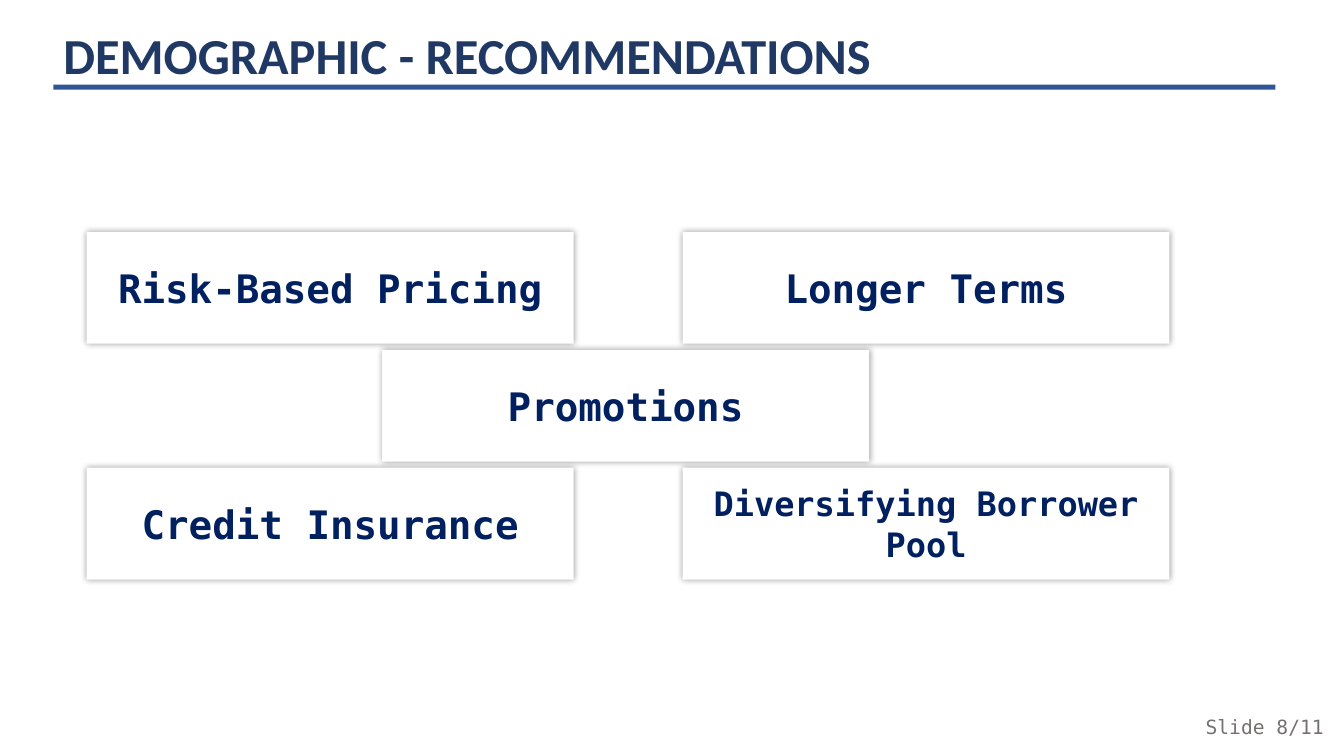
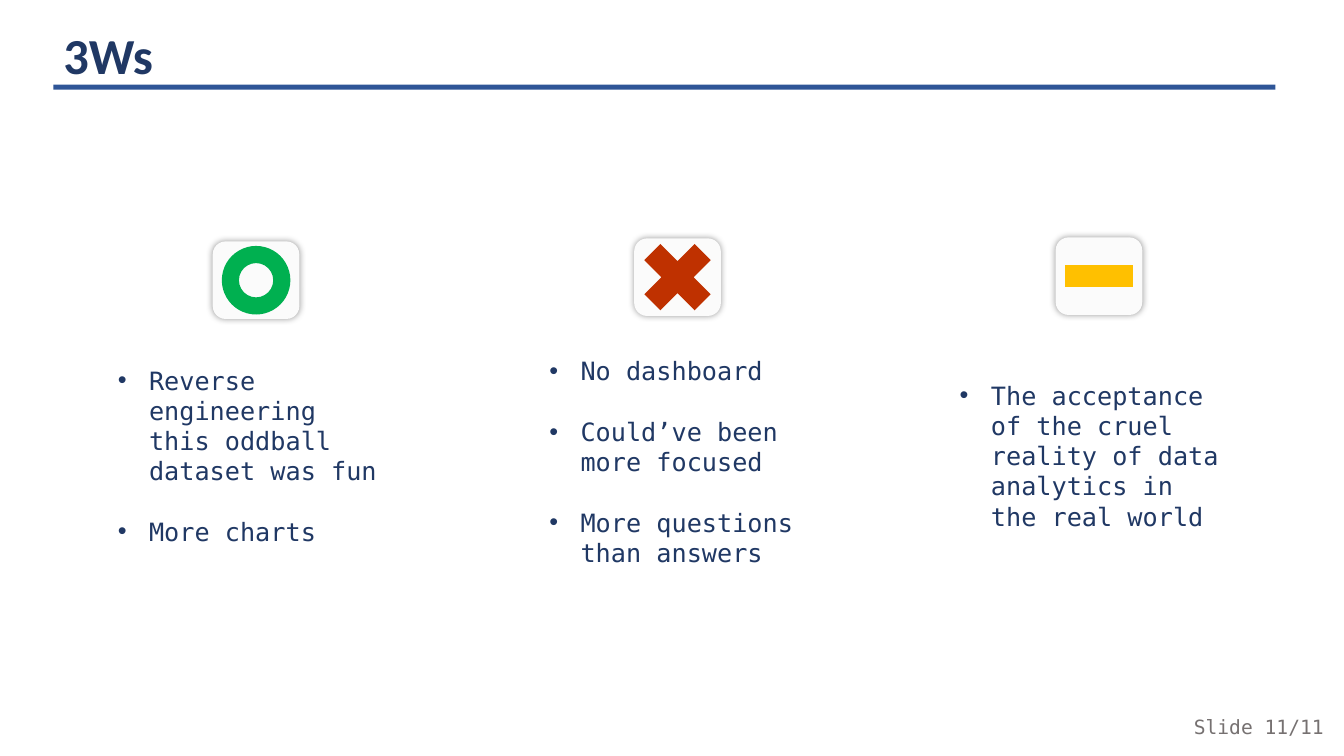
"""Build the recommendations slide and the 3Ws slide."""
from dataclasses import dataclass

from lxml import etree
from pptx import Presentation
from pptx import util as u
from pptx.dml.color import RGBColor
from pptx.enum import shapes, text
from pptx.oxml import ns


@dataclass(frozen=True)
class Theme:
    width: float = 13.33
    height: float = 7.5
    heading_font: str = "Calibri"
    body_font: str = "DejaVu Sans Mono"
    heading: str = "203864"
    rule: str = "2F5597"
    card: str = "FFFFFF"
    card_text: str = "002060"
    tile: str = "FBFBFB"
    footer: str = "767171"
    good: str = "00B050"
    bad: str = "BF3100"
    neutral: str = "FFC000"
    shadow: str = "000000"
    heading_size: float = 36
    card_size: float = 28
    long_card_size: float = 24
    list_size: float = 18
    list_gap: float = 21.6
    footer_size: float = 14
    shadow_blur: float = 5
    shadow_alpha: int = 40


THEME = Theme()
MARGIN = 0.53
SLIDE_TOTAL = 11

CARD_WIDTH, CARD_HEIGHT = 4.83, 1.11
CARD_COLUMNS = (0.86, 3.79, 6.77)
CARD_TOP, CARD_PITCH = 2.3, 1.17
CARDS = (
    ("Risk-Based Pricing", 0, 0, THEME.card_size),
    ("Longer Terms", 2, 0, THEME.card_size),
    ("Promotions", 1, 1, THEME.card_size),
    ("Credit Insurance", 0, 2, THEME.card_size),
    ("Diversifying Borrower Pool", 2, 2, THEME.long_card_size),
)

COLUMN_LEFT, COLUMN_PITCH = 2.54, 4.18
TILE_WIDTH, TILE_HEIGHT = 0.86, 0.77
LIST_WIDTH, LIST_HEIGHT, LIST_INDENT = 2.84, 2.22, 0.31
KINDS = shapes.MSO_SHAPE
VERDICTS = (
    (KINDS.DONUT, THEME.good, 0.68, 2.78, 1.07, 3.57,
     ("Reverse engineering this oddball dataset was fun", "More charts")),
    (KINDS.MATH_MULTIPLY, THEME.bad, 0.96, 2.75, 5.35, 3.48,
     ("No dashboard", "Could’ve been more focused",
      "More questions than answers")),
    (KINDS.MATH_MINUS, THEME.neutral, 0.91, 2.74, 9.42, 3.72,
     ("The acceptance of the cruel reality of data analytics in "
      "the real world",)),
)


def apply(target, values):
    """Set each attribute named in a dict of format values."""
    for name, value in values.items():
        setattr(target, name, value)


def inches(*lengths):
    """Turn lengths in inches into slide units."""
    return [u.Inches(length) for length in lengths]


def centred(x, y, width, height):
    """Return the box of a given size around a centre point."""
    return x - width / 2, y - height / 2, width, height


def write(paragraph, words, size, color, font=THEME.body_font, bold=False):
    """Add one formatted run to a paragraph."""
    run = paragraph.add_run()
    run.text = words
    apply(run.font, {"name": font, "size": u.Pt(size), "bold": bold})
    run.font.color.rgb = RGBColor.from_string(color)


def add_text_box(slide, box, wrap=True):
    """Add an empty text box and return its text frame."""
    frame = slide.shapes.add_textbox(*inches(*box)).text_frame
    frame.word_wrap = wrap
    return frame


def add_block(slide, kind, box, color, shadow=False):
    """Add a filled shape without outline, with an optional soft shadow."""
    block = slide.shapes.add_shape(kind, *inches(*box))
    block.fill.solid()
    block.fill.fore_color.rgb = RGBColor.from_string(color)
    block.line.fill.background()
    block.shadow.inherit = False
    if shadow:
        effects = block.element.spPr.find(ns.qn("a:effectLst"))
        outer = etree.SubElement(
            effects, ns.qn("a:outerShdw"), blurRad=str(u.Pt(THEME.shadow_blur)),
            dist="0", dir="0", algn="ctr", rotWithShape="0")
        tint = etree.SubElement(outer, ns.qn("a:srgbClr"), val=THEME.shadow)
        etree.SubElement(tint, ns.qn("a:alpha"),
                         val=str(THEME.shadow_alpha * 1000))
    return block


def add_slide(deck, heading, number):
    """Add a blank slide with the shared heading, rule and page count."""
    slide = deck.slides.add_slide(deck.slide_layouts[6])
    span = THEME.width - 2 * MARGIN - 0.15
    title = add_text_box(slide, (MARGIN, 0.19, span, 0.71))
    write(title.paragraphs[0], heading, THEME.heading_size, THEME.heading,
          THEME.heading_font, True)
    add_block(slide, KINDS.RECTANGLE, (MARGIN, 0.84, span, 0.05), THEME.rule)
    count = add_text_box(slide, (THEME.width - 1.8, 7.04, 1.7, 0.34))
    count.paragraphs[0].alignment = text.PP_ALIGN.RIGHT
    write(count.paragraphs[0], f"Slide {number}/{SLIDE_TOTAL}",
          THEME.footer_size, THEME.footer)
    return slide


def add_card(slide, label, column, row, size):
    """Add a recommendation card at a grid position."""
    box = (CARD_COLUMNS[column], CARD_TOP + row * CARD_PITCH,
           CARD_WIDTH, CARD_HEIGHT)
    frame = add_block(slide, KINDS.RECTANGLE, box, THEME.card, True).text_frame
    apply(frame, {"word_wrap": True,
                  "vertical_anchor": text.MSO_ANCHOR.MIDDLE})
    frame.paragraphs[0].alignment = text.PP_ALIGN.CENTER
    write(frame.paragraphs[0], label, size, THEME.card_text, bold=True)


def add_bullets(slide, left, top, items):
    """Add a bulleted list with one line of space between items."""
    frame = add_text_box(slide, (left, top, LIST_WIDTH, LIST_HEIGHT))
    indent = u.Inches(LIST_INDENT)
    for index, item in enumerate(items):
        paragraph = frame.add_paragraph() if index else frame.paragraphs[0]
        paragraph.space_before = u.Pt(THEME.list_gap if index else 0)
        write(paragraph, item, THEME.list_size, THEME.heading)
        properties = paragraph._p.get_or_add_pPr()
        properties.set("marL", str(indent))
        properties.set("indent", str(-indent))
        etree.SubElement(properties, ns.qn("a:buFont"), typeface="Arial")
        etree.SubElement(properties, ns.qn("a:buChar"), char="•")


def add_verdict(slide, column, mark, color, size, middle, left, top, items):
    """Add a marked tile and the list below it."""
    center = COLUMN_LEFT + column * COLUMN_PITCH
    add_block(slide, KINDS.ROUNDED_RECTANGLE,
              centred(center, middle, TILE_WIDTH, TILE_HEIGHT),
              THEME.tile, True)
    add_block(slide, mark, centred(center, middle, size, size), color)
    add_bullets(slide, left, top, items)


def main():
    """Build both slides and save the deck."""
    deck = Presentation()
    apply(deck, {"slide_width": u.Inches(THEME.width),
                 "slide_height": u.Inches(THEME.height)})
    recommendations = add_slide(deck, "DEMOGRAPHIC - RECOMMENDATIONS", 8)
    for card in CARDS:
        add_card(recommendations, *card)
    review = add_slide(deck, "3Ws", 11)
    for column, verdict in enumerate(VERDICTS):
        add_verdict(review, column, *verdict)
    deck.save("out.pptx")


if __name__ == "__main__":
    main()
